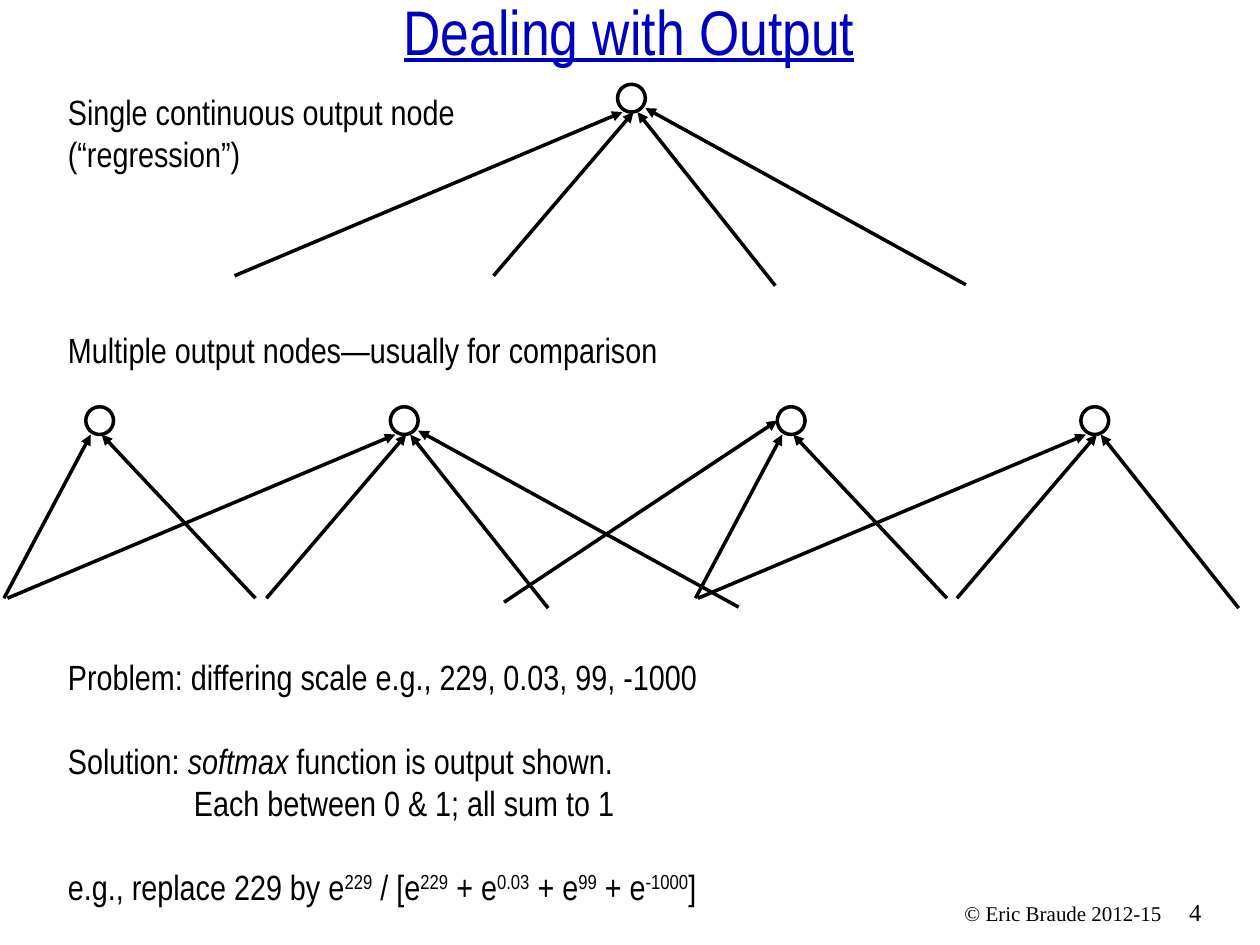
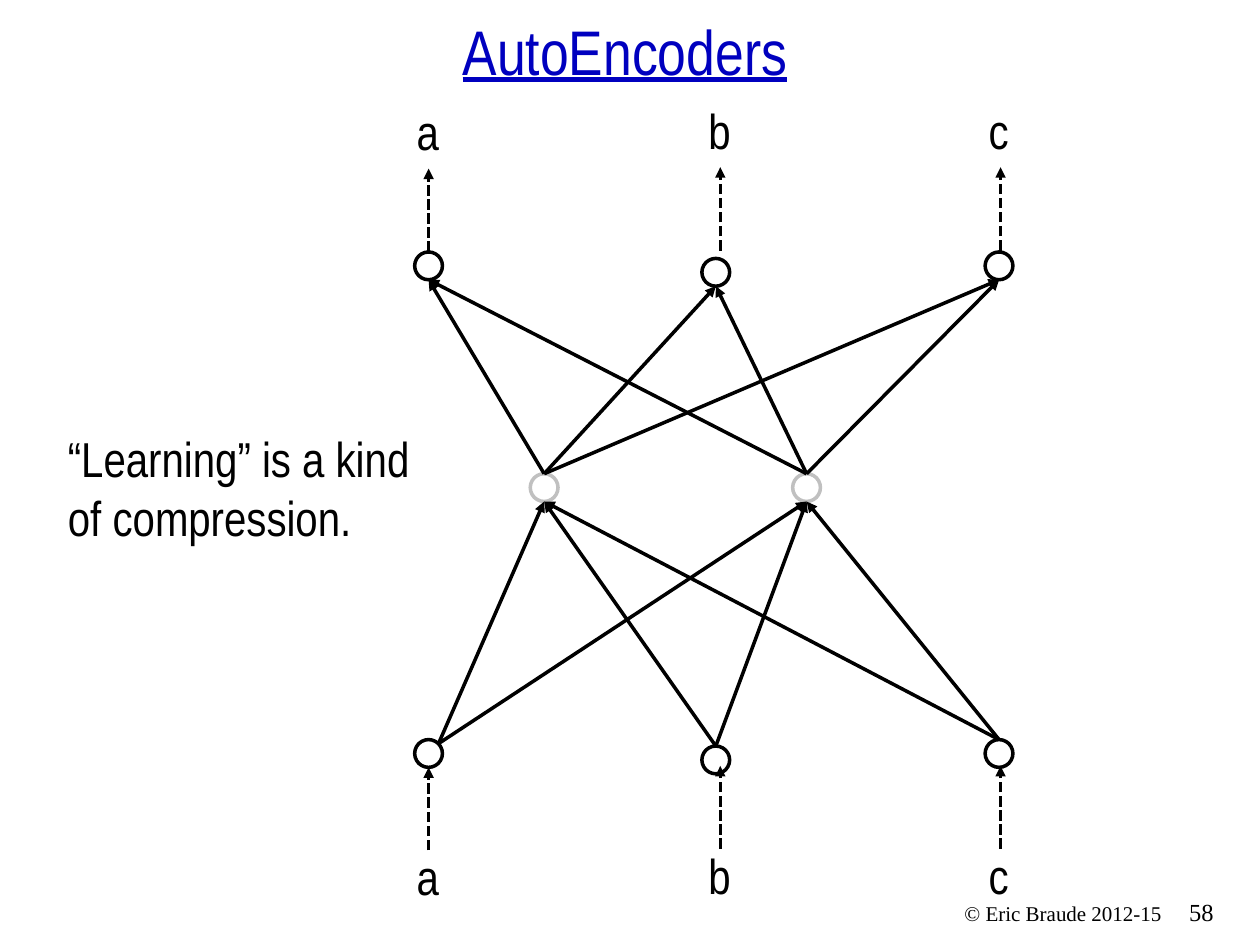
from dataclasses import dataclass
from typing import NamedTuple, Optional, Sequence, Union

from lxml import etree
from pptx import Presentation
from pptx.dml.color import RGBColor
from pptx.enum.dml import MSO_LINE
from pptx.enum.shapes import MSO_CONNECTOR, MSO_SHAPE
from pptx.enum.text import MSO_ANCHOR, PP_ALIGN
from pptx.oxml.ns import qn
from pptx.slide import Slide
from pptx.util import Cm, Pt

STRAIGHT = MSO_CONNECTOR.STRAIGHT
ELLIPSE = MSO_SHAPE.OVAL
DASHED = MSO_LINE.SQUARE_DOT
TOP, BOTTOM = MSO_ANCHOR.TOP, MSO_ANCHOR.BOTTOM
LEFT, CENTER, RIGHT = PP_ALIGN.LEFT, PP_ALIGN.CENTER, PP_ALIGN.RIGHT

COLORS = {"paper": "FFFFFF", "ink": "000000", "title": "0000BF", "hidden": "C0C0C0"}
BODY_FONT = "Arial Narrow"
FOOTER_FONT = "Times New Roman"
NODE_SIZE = 0.56
LINE_WIDTH = 2


class Box(NamedTuple):
    left: float
    top: float
    width: float
    height: float


class Point(NamedTuple):
    x: float
    y: float


class Run(NamedTuple):
    text: str
    italic: bool = False
    superscript: bool = False


@dataclass(frozen=True)
class Line:
    runs: Sequence[Run]
    gap: float = 0
    indent: float = 0


@dataclass(frozen=True)
class Spoke:
    start: Point
    end: Point


@dataclass(frozen=True)
class OutputNode:
    corner: Point
    spokes: Sequence[Spoke]


@dataclass(frozen=True)
class Column:
    label: str
    center: float
    arrow: float
    drop: float
    lift: float
    input_start: Point


WIDE_FAN = (
    Spoke(Point(-7.72, 3.86), Point(0.1, 0.56)),
    Spoke(Point(-2.5, 3.86), Point(0.32, 0.56)),
    Spoke(Point(3.18, 4.06), Point(0.4, 0.56)),
    Spoke(Point(7.02, 4.04), Point(0.56, 0.48)),
)
NARROW_FAN = (
    Spoke(Point(-1.65, 3.86), Point(0.1, 0.56)),
    Spoke(Point(3.42, 3.86), Point(0.32, 0.56)),
)
SIDE_SPOKE = Spoke(Point(-5.51, 3.94), Point(0, 0.28))

OUTPUT_NODES = (
    OutputNode(Point(1.73, 8.2), NARROW_FAN),
    OutputNode(Point(7.87, 8.2), WIDE_FAN),
    OutputNode(Point(15.67, 8.2), (*NARROW_FAN, SIDE_SPOKE)),
    OutputNode(Point(21.79, 8.2), WIDE_FAN[:3]),
    OutputNode(Point(12.45, 1.7), WIDE_FAN),
)

OUTPUT_TOP, HIDDEN_TOP, INPUT_TOP = 5.08, 9.55, 14.91
HIDDEN_CENTERS = (10.97, 16.26)
COLUMNS = (
    Column("a", 8.64, 8.64, 0, 0, Point(8.84, 14.99)),
    Column("b", 14.43, 14.52, 0.13, 0.03, Point(14.43, 15.04)),
    Column("c", 20.14, 20.17, 0, 0.03, Point(20.14, 14.91)),
)
LABEL_TOPS = (1.93, 16.94)
DASHED_ARROWS = ((5.08, 3.4), (17.14, 15.47))


def rgb(name: str) -> RGBColor:
    return RGBColor.from_string(COLORS[name])


def add_text(
    slide: Slide,
    box: Box,
    lines: Sequence[Union[str, Line]],
    *,
    size: float = 20,
    font: str = BODY_FONT,
    color: str = "ink",
    align: PP_ALIGN = LEFT,
    anchor: MSO_ANCHOR = TOP,
    underline: Optional[bool] = None,
) -> None:
    frame = slide.shapes.add_textbox(*map(Cm, box)).text_frame
    frame.word_wrap = True
    frame.vertical_anchor = anchor
    for index, item in enumerate(lines):
        line = Line((Run(item),)) if isinstance(item, str) else item
        paragraph = frame.add_paragraph() if index else frame.paragraphs[0]
        paragraph.alignment = align
        paragraph.space_before = Pt(line.gap)
        if line.indent:
            paragraph._p.get_or_add_pPr().set("marL", str(Cm(line.indent)))
        for part in line.runs:
            run = paragraph.add_run()
            run.text = part.text
            run.font.size = Pt(size)
            run.font.name = font
            run.font.color.rgb = rgb(color)
            run.font.underline = underline
            run.font.italic = part.italic
            if part.superscript:
                run._r.get_or_add_rPr().set("baseline", "30000")


def add_node(slide: Slide, corner: Point, color: str = "ink") -> None:
    shape = slide.shapes.add_shape(ELLIPSE, *map(Cm, (*corner, NODE_SIZE, NODE_SIZE)))
    shape.shadow.inherit = False
    shape.fill.solid()
    shape.fill.fore_color.rgb = rgb("paper")
    shape.line.color.rgb = rgb(color)
    shape.line.width = Pt(LINE_WIDTH)


def add_arrow(slide: Slide, start: Point, end: Point, dashed: bool = False) -> None:
    connector = slide.shapes.add_connector(STRAIGHT, *map(Cm, (*start, *end)))
    connector.line.color.rgb = rgb("ink")
    connector.line.width = Pt(LINE_WIDTH)
    if dashed:
        connector.line.dash_style = DASHED
    outline = connector.line._get_or_add_ln()
    etree.SubElement(outline, qn("a:tailEnd"), type="triangle")
    etree.SubElement(connector._element.spPr, qn("a:effectLst"))


def add_base_slide(presentation: Presentation, title: str, corner: Point, number: int) -> Slide:
    slide = presentation.slides.add_slide(presentation.slide_layouts[6])
    add_text(slide, Box(23.72, 17.96, 1.47, 0.84), [str(number)], size=14, font=FOOTER_FONT)
    add_text(slide, Box(16.89, 18.03, 6.78, 0.76), ["© Eric Braude 2012-15"],
             size=12, font=FOOTER_FONT, align=RIGHT)
    add_text(slide, Box(*corner, 25.2, 1.37), [title], size=36, color="title",
             align=CENTER, anchor=BOTTOM, underline=True)
    return slide


def formula_runs() -> list[Run]:
    runs = [Run("e.g., replace 229 by e"), Run("229", superscript=True)]
    for index, exponent in enumerate(("229", "0.03", "99", "-1000")):
        runs.append(Run(" + e" if index else " / [e"))
        runs.append(Run(exponent, superscript=True))
    return [*runs, Run("]")]


def build_output_slide(presentation: Presentation) -> None:
    slide = add_base_slide(presentation, "Dealing with Output", Point(0.08, 0.13), 4)
    for node in OUTPUT_NODES:
        add_node(slide, node.corner)
        for spoke in node.spokes:
            start, end = (
                Point(node.corner.x + offset.x, node.corner.y + offset.y)
                for offset in (spoke.start, spoke.end)
            )
            add_arrow(slide, start, end)
    add_text(slide, Box(1.12, 1.7, 9.68, 1.96),
             ["Single continuous output node", "(“regression”)"])
    add_text(slide, Box(1.12, 6.5, 13.49, 1.12),
             ["Multiple output nodes—usually for comparison"])
    add_text(slide, Box(1.12, 13.08, 14.12, 5.38), [
        "Problem: differing scale e.g., 229, 0.03, 99, -1000",
        Line((Run("Solution: "), Run("softmax", italic=True),
              Run(" function is output shown.")), gap=24),
        Line((Run("Each between 0 & 1; all sum to 1"),), indent=2.54),
        Line(formula_runs(), gap=24),
    ])


def build_autoencoder_slide(presentation: Presentation) -> None:
    slide = add_base_slide(presentation, "AutoEncoders", Point(0, 0.53), 58)
    radius = NODE_SIZE / 2
    for center in HIDDEN_CENTERS:
        add_node(slide, Point(center - radius, HIDDEN_TOP), "hidden")
    for column in COLUMNS:
        output_top = OUTPUT_TOP + column.drop
        for top in (output_top, INPUT_TOP + column.drop):
            add_node(slide, Point(column.center - radius, top))
        for center in HIDDEN_CENTERS:
            add_arrow(slide, column.input_start, Point(center, HIDDEN_TOP + NODE_SIZE))
            add_arrow(slide, Point(center, HIDDEN_TOP),
                      Point(column.center, output_top + NODE_SIZE))
        for start, end in DASHED_ARROWS:
            add_arrow(slide, Point(column.arrow, start - column.lift),
                      Point(column.arrow, end - column.lift), dashed=True)
        for top in LABEL_TOPS:
            add_text(slide, Box(column.arrow - 0.49, top - column.lift, 1.07, 1.47),
                     [column.label], size=28)
    add_text(slide, Box(1.12, 8.51, 7.77, 2.64),
             ["“Learning” is a kind of compression."], size=28)


def main() -> None:
    presentation = Presentation()
    presentation.slide_width = Cm(25.4)
    presentation.slide_height = Cm(19.05)
    build_output_slide(presentation)
    build_autoencoder_slide(presentation)
    presentation.save("out.pptx")


if __name__ == "__main__":
    main()
